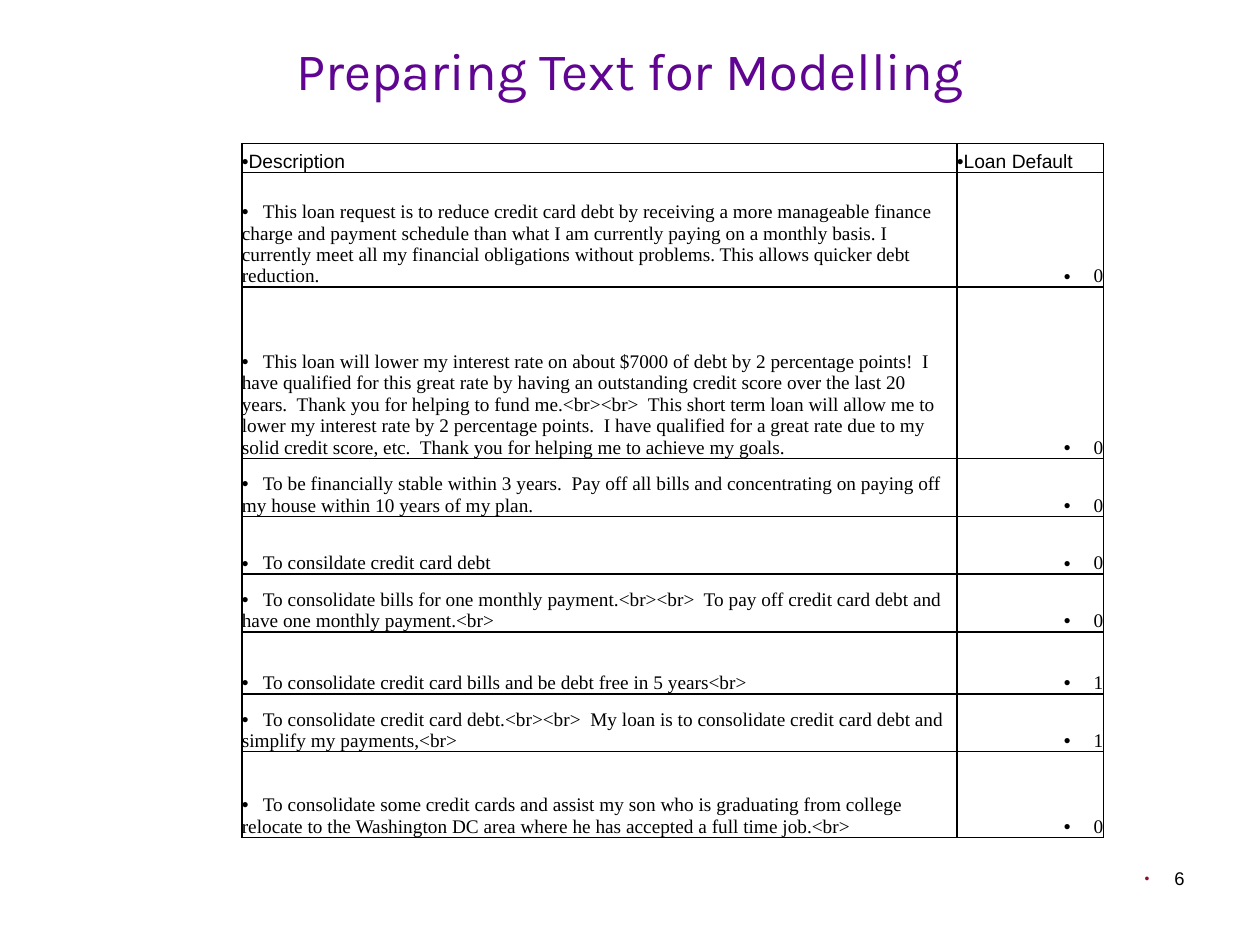
from lxml import etree
from pptx import Presentation
from pptx.dml.color import RGBColor
from pptx.enum.text import MSO_ANCHOR, PP_ALIGN
from pptx.oxml.ns import qn
from pptx.util import Pt

LEFT, CENTER, RIGHT = PP_ALIGN.LEFT, PP_ALIGN.CENTER, PP_ALIGN.RIGHT
TOP, MIDDLE, BOTTOM = MSO_ANCHOR.TOP, MSO_ANCHOR.MIDDLE, MSO_ANCHOR.BOTTOM
BLACK, WHITE, PURPLE, CRIMSON = "000000", "FFFFFF", "600592", "8E0D30"
SANS, SERIF, DISPLAY = "Arial", "Times New Roman", "Karla"
TABLE_SIZE = 11
BULLET_GAP = 17
TEXT_TAB = 12
COLUMN_WIDTHS = [408.6, 83.7]
ROW_HEIGHTS = [16.6, 65.5, 97.9, 33.1, 33.1, 33.1, 35.3, 33.1, 49]
HEADINGS = ["Description", "Loan Default"]
LOANS = [
    ("This loan request is to reduce credit card debt by receiving a more manageable finance "
     "charge and payment schedule than what I am currently paying on a monthly basis. I currently "
     "meet all my financial obligations without problems. This allows quicker debt reduction.", 0),
    ("This loan will lower my interest rate on about $7000 of debt by 2 percentage points!  I have "
     "qualified for this great rate by having an outstanding credit score over the last 20 years.  "
     "Thank you for helping to fund me.<br><br>  This short term loan will allow me to lower my "
     "interest rate by 2 percentage points.  I have qualified for a great rate due to my solid "
     "credit score, etc.  Thank you for helping me to achieve my goals.", 0),
    ("To be financially stable within 3 years.  Pay off all bills and concentrating on paying off "
     "my house within 10 years of my plan.", 0),
    ("To consildate credit card debt", 0),
    ("To consolidate bills for one monthly payment.<br><br>  To pay off credit card debt and have "
     "one monthly payment.<br>", 0),
    ("To consolidate credit card bills and be debt free in 5 years<br>", 1),
    ("To consolidate credit card debt.<br><br>  My loan is to consolidate credit card debt and "
     "simplify my payments,<br>", 1),
    ("To consolidate some credit cards and assist my son who is graduating from college relocate "
     "to the Washington DC area where he has accepted a full time job.<br>", 0),
]


def rgb(value):
    """Turn a hex string into a colour."""
    return RGBColor.from_string(value)


def write(paragraph, text, font, size, color, align):
    """Write one formatted line of text."""
    paragraph.text = text
    paragraph.alignment = align
    for run in paragraph.runs:
        run.font.name = font
        run.font.size = Pt(size)
        run.font.color.rgb = rgb(color)


def add_bullet(paragraph, color, gap=0, percent=100, tab=None):
    """Give a paragraph a round bullet, a hanging gap and an optional tab stop."""
    properties = paragraph._p.get_or_add_pPr()
    properties.set("marL", str(Pt(gap)))
    properties.set("indent", str(-Pt(gap)))
    bullet_color = etree.SubElement(properties, qn("a:buClr"))
    etree.SubElement(bullet_color, qn("a:srgbClr"), val=color)
    etree.SubElement(properties, qn("a:buSzPct"), val=str(percent * 1000))
    etree.SubElement(properties, qn("a:buFont"), typeface=SANS)
    etree.SubElement(properties, qn("a:buChar"), char="•")
    if tab:
        stops = etree.SubElement(properties, qn("a:tabLst"))
        etree.SubElement(stops, qn("a:tab"), pos=str(Pt(tab)), algn="l")


def add_text(slide, box, text, font, size, color, align, anchor):
    """Add a wrapping text box and return its paragraph."""
    frame = slide.shapes.add_textbox(*map(Pt, box)).text_frame
    frame.word_wrap = True
    frame.vertical_anchor = anchor
    write(frame.paragraphs[0], text, font, size, color, align)
    return frame.paragraphs[0]


def add_borders(cell):
    """Draw a thin black line on all four sides of a cell."""
    properties = cell._tc.get_or_add_tcPr()
    for position, side in enumerate(("lnL", "lnR", "lnT", "lnB")):
        line = etree.Element(qn(f"a:{side}"), w=str(Pt(1)))
        fill = etree.SubElement(line, qn("a:solidFill"))
        etree.SubElement(fill, qn("a:srgbClr"), val=BLACK)
        properties.insert(position, line)


def fill_cell(cell, text, font, align=LEFT, gap=0, tab=None):
    """Write a bulleted, bordered cell with text at its foot."""
    cell.margin_left = cell.margin_right = cell.margin_top = cell.margin_bottom = 0
    cell.vertical_anchor = BOTTOM
    cell.fill.solid()
    cell.fill.fore_color.rgb = rgb(WHITE)
    add_borders(cell)
    paragraph = cell.text_frame.paragraphs[0]
    write(paragraph, text, font, TABLE_SIZE, BLACK, align)
    paragraph.space_before = Pt(TABLE_SIZE * 0.2)
    add_bullet(paragraph, BLACK, gap, tab=tab)


def add_loan_table(slide):
    """Add the table of loan descriptions and defaults."""
    table = slide.shapes.add_table(
        len(ROW_HEIGHTS), len(COLUMN_WIDTHS), Pt(138.2), Pt(82),
        Pt(sum(COLUMN_WIDTHS)), Pt(sum(ROW_HEIGHTS))).table
    table.first_row = table.horz_banding = False
    for column, width in zip(table.columns, COLUMN_WIDTHS):
        column.width = Pt(width)
    for row, height in zip(table.rows, ROW_HEIGHTS):
        row.height = Pt(height)
    for column, heading in enumerate(HEADINGS):
        fill_cell(table.cell(0, column), heading, SANS)
    for row, (description, default) in enumerate(LOANS, 1):
        fill_cell(table.cell(row, 0), "\t" + description, SERIF, tab=TEXT_TAB)
        fill_cell(table.cell(row, 1), str(default), SERIF, RIGHT, BULLET_GAP)


def main():
    """Build and save the slide."""
    deck = Presentation()
    deck.slide_width, deck.slide_height = Pt(720), Pt(540)
    slide = deck.slides.add_slide(deck.slide_layouts[6])
    add_text(slide, (36, 10.8, 648, 57.6), "Preparing Text for Modelling",
             DISPLAY, 30, PURPLE, CENTER, MIDDLE)
    page_number = add_text(slide, (516, 492, 168, 37.5), "6", SANS, 10.5, BLACK, RIGHT, TOP)
    add_bullet(page_number, CRIMSON, BULLET_GAP, 75)
    add_loan_table(slide)
    deck.save("out.pptx")


if __name__ == "__main__":
    main()
